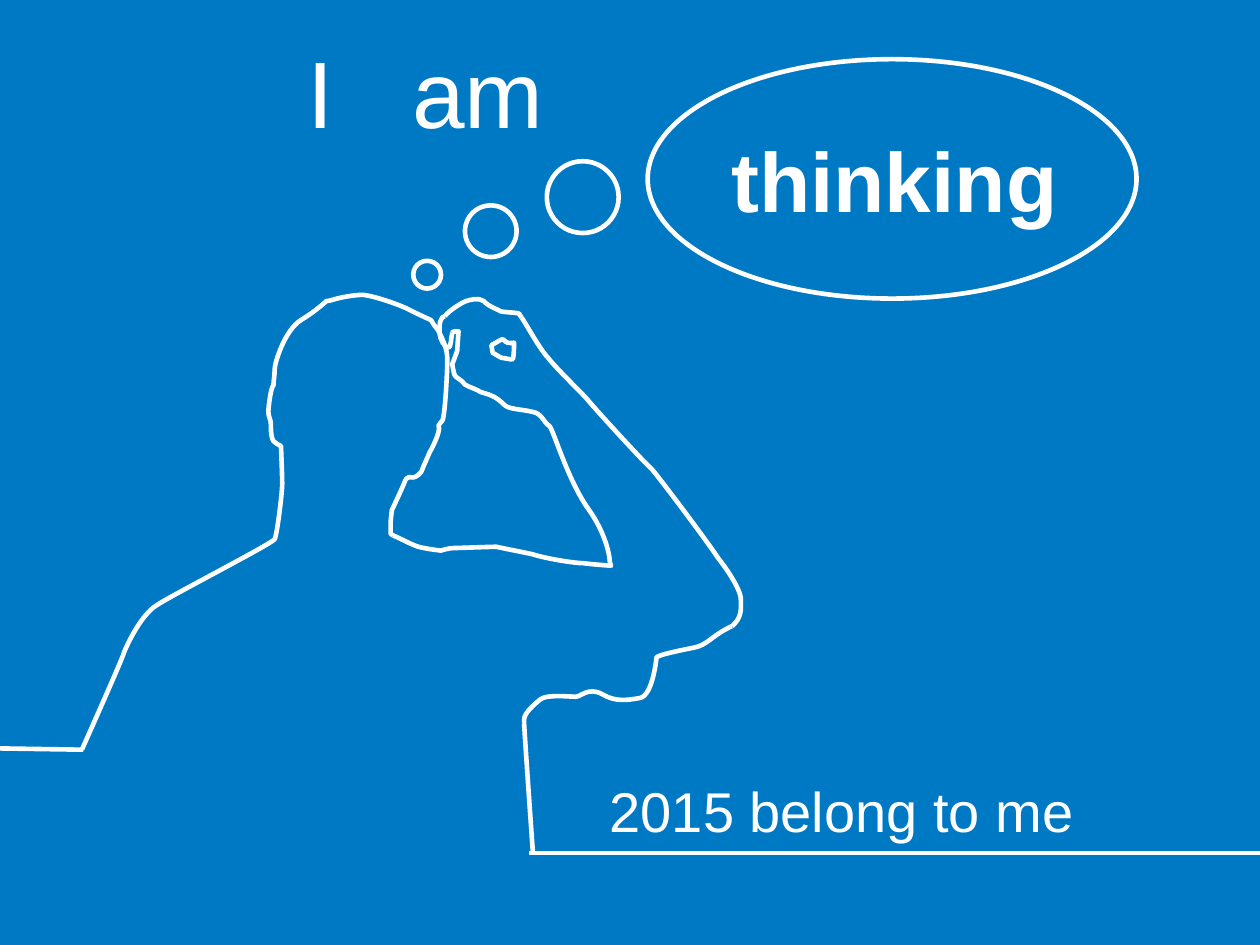
from typing import NamedTuple

from lxml.etree import SubElement
from pptx import Presentation
from pptx.dml.color import RGBColor
from pptx.enum.shapes import MSO_CONNECTOR as Connector, MSO_SHAPE as Preset
from pptx.enum.text import MSO_ANCHOR as Anchor, MSO_AUTO_SIZE as AutoSize, PP_ALIGN as Align
from pptx.oxml.ns import qn
from pptx.util import Emu, Pt

PX = 9144
BLUE = RGBColor(0x00, 0x79, 0xC5)
WHITE = RGBColor(0xFF, 0xFF, 0xFF)
STROKE = Pt(2.64)
FONT = "Arial"

Point = tuple[int, int]


class Outline(NamedTuple):
    start: Point
    curves: list[tuple[int, int, int, int, int, int]]
    closed: bool = False


class Frame(NamedTuple):
    left: int
    top: int
    width: int
    height: int


class Caption(NamedTuple):
    words: str
    frame: Frame
    size: int
    bold: bool = False
    align: Align = Align.LEFT
    tab: int = 0


class Rule(NamedTuple):
    start: Point
    end: Point


WAIST = Outline((416, 574), [(417, 592, 423, 677, 423, 677)])
SLEEVE = Outline((581, 497), [
    (580, 497, 579, 498, 577, 499), (565, 505, 561, 512, 551, 514),
    (541, 516, 521, 520, 521, 522), (521, 523, 518, 552, 508, 554),
    (497, 556, 488, 557, 478, 551), (467, 545, 461, 553, 457, 553),
    (452, 553, 434, 551, 429, 555), (424, 559, 416, 566, 416, 571),
    (416, 571, 416, 572, 416, 574)])
FOREARM = Outline((414, 252), [
    (418, 258, 429, 278, 435, 284), (441, 292, 463, 313, 467, 318),
    (470, 322, 512, 368, 517, 372), (521, 376, 563, 432, 570, 443),
    (578, 453, 589, 470, 588, 477), (588, 483, 589, 490, 581, 497)])
KNUCKLES = Outline((353, 251), [
    (357, 246, 367, 240, 370, 239), (373, 238, 380, 236, 384, 239),
    (387, 243, 396, 246, 397, 247), (399, 248, 410, 248, 412, 249),
    (412, 250, 413, 250, 414, 252)])
FINGER = Outline((359, 264), [
    (358, 268, 358, 276, 356, 276), (353, 276, 349, 269, 349, 265),
    (349, 261, 348, 256, 351, 252), (352, 252, 352, 251, 353, 251)])
INNER_ARM = Outline((484, 446), [
    (484, 440, 480, 422, 467, 404), (450, 380, 439, 340, 436, 338),
    (432, 336, 430, 328, 423, 327), (415, 325, 405, 325, 401, 322),
    (397, 318, 393, 315, 390, 314), (388, 313, 384, 312, 381, 311),
    (379, 309, 368, 306, 368, 304), (368, 303, 361, 299, 361, 298),
    (360, 296, 359, 289, 359, 289), (359, 289, 363, 279, 363, 278),
    (363, 276, 364, 263, 364, 263), (364, 263, 358, 263, 359, 264)])
SHOULDER = Outline((312, 425), [
    (317, 427, 326, 432, 332, 434), (340, 436, 350, 437, 350, 437),
    (350, 437, 356, 435, 360, 435), (363, 435, 390, 434, 394, 434),
    (398, 435, 414, 438, 423, 440), (432, 443, 455, 447, 463, 447),
    (470, 448, 485, 449, 485, 449), (485, 449, 485, 449, 484, 446)])
FACE = Outline((347, 261), [
    (351, 268, 355, 277, 355, 285), (355, 297, 353, 332, 351, 334),
    (349, 336, 348, 338, 348, 338), (348, 338, 349, 339, 348, 343),
    (347, 347, 344, 354, 341, 359), (339, 364, 336, 370, 335, 373),
    (335, 375, 330, 379, 328, 379), (326, 379, 323, 377, 321, 383),
    (319, 388, 311, 405, 311, 405), (311, 405, 310, 413, 310, 415),
    (310, 417, 310, 424, 310, 424), (310, 424, 311, 424, 312, 425)])
CROWN = Outline((264, 238), [
    (270, 236, 282, 234, 288, 234), (298, 235, 320, 243, 325, 246),
    (331, 249, 342, 254, 342, 254), (343, 255, 344, 258, 347, 261)])
BACK = Outline((65, 595), [
    (65, 595, 98, 521, 98, 519), (99, 516, 111, 488, 125, 480),
    (139, 471, 215, 432, 218, 428), (220, 424, 224, 391, 224, 384),
    (224, 377, 223, 354, 223, 354), (223, 354, 216, 351, 216, 348),
    (215, 344, 215, 341, 215, 337), (215, 333, 213, 331, 213, 327),
    (213, 323, 215, 307, 217, 306), (217, 303, 218, 298, 218, 293),
    (218, 288, 226, 262, 239, 254), (252, 246, 259, 239, 259, 239),
    (259, 239, 261, 239, 264, 238)])
PALM_GAP = Outline((408, 272), [
    (408, 272, 403, 273, 401, 271), (399, 268, 397, 270, 397, 270),
    (390, 274, 390, 274, 390, 274), (391, 280, 391, 280, 391, 280),
    (391, 280, 396, 283, 398, 284), (400, 284, 407, 286, 407, 285),
    (408, 283, 408, 272, 408, 272)], closed=True)
FIGURE = [WAIST, SLEEVE, FOREARM, KNUCKLES, FINGER, INNER_ARM,
          SHOULDER, FACE, CROWN, BACK, PALM_GAP]
GROUND = [Rule((0, 594), (66, 595)), Rule((420, 677), (1000, 677))]
BUBBLES = [Frame(328, 207, 22, 22), Frame(369, 163, 41, 41),
           Frame(434, 128, 57, 57), Frame(514, 47, 388, 190)]
TITLE = Caption("I\tam", Frame(234, 17, 298, 110), 54, tab=83)
CAPTIONS = [
    Caption("thinking", Frame(518, 53, 384, 178), 48, bold=True, align=Align.CENTER),
    Caption("2015 belong to me", Frame(474, 588, 526, 110), 32),
]


def px(*lengths: int) -> list[Emu]:
    return [Emu(length * PX) for length in lengths]


def draw_stroke(line) -> None:
    line.color.rgb = WHITE
    line.width = STROKE


def draw_hollow(shape) -> None:
    shape.shadow.inherit = False
    shape.fill.background()
    draw_stroke(shape.line)


def bend_segments(shape) -> None:
    segments = list(shape._element.iter(qn("a:lnTo")))
    for first in range(0, len(segments), 3):
        curve, *others = segments[first:first + 3]
        bend = curve.makeelement(qn("a:cubicBezTo"))
        curve.addprevious(bend)
        for segment in (curve, *others):
            bend.append(segment[0])
            segment.getparent().remove(segment)


def draw_outline(page, outline: Outline) -> None:
    builder = page.shapes.build_freeform(*outline.start, scale=PX)
    for curve in outline.curves:
        builder.add_line_segments(list(zip(curve[::2], curve[1::2])), close=False)
    if outline.closed:
        builder.add_line_segments([], close=True)
    shape = builder.convert_to_shape()
    bend_segments(shape)
    draw_hollow(shape)


def draw_rule(page, rule: Rule) -> None:
    connector = page.shapes.add_connector(Connector.STRAIGHT, *px(*rule.start, *rule.end))
    draw_stroke(connector.line)
    SubElement(connector._element.spPr, qn("a:effectLst"))


def draw_bubble(page, frame: Frame) -> None:
    draw_hollow(page.shapes.add_shape(Preset.OVAL, *px(*frame)))


def write_caption(box, caption: Caption) -> None:
    box.left, box.top, box.width, box.height = px(*caption.frame)
    frame = box.text_frame
    frame.word_wrap = True
    frame.auto_size = AutoSize.NONE
    frame.vertical_anchor = Anchor.MIDDLE
    para = frame.paragraphs[0]
    para.alignment = caption.align
    if caption.tab:
        tabs = SubElement(para._p.get_or_add_pPr(), qn("a:tabLst"))
        SubElement(tabs, qn("a:tab"), pos=str(caption.tab * PX), algn="l")
    span = para.add_run()
    span.text = caption.words
    span.font.name = FONT
    span.font.size = Pt(caption.size)
    span.font.bold = caption.bold
    span.font.color.rgb = WHITE


def main() -> None:
    deck = Presentation()
    deck.slide_width, deck.slide_height = px(1000, 750)
    page = deck.slides.add_slide(deck.slide_layouts[5])
    page.background.fill.solid()
    page.background.fill.fore_color.rgb = BLUE
    for outline in FIGURE:
        draw_outline(page, outline)
    for rule in GROUND:
        draw_rule(page, rule)
    for bubble in BUBBLES:
        draw_bubble(page, bubble)
    write_caption(page.shapes.title, TITLE)
    for caption in CAPTIONS:
        write_caption(page.shapes.add_textbox(*px(*caption.frame)), caption)
    deck.save("out.pptx")


if __name__ == "__main__":
    main()
